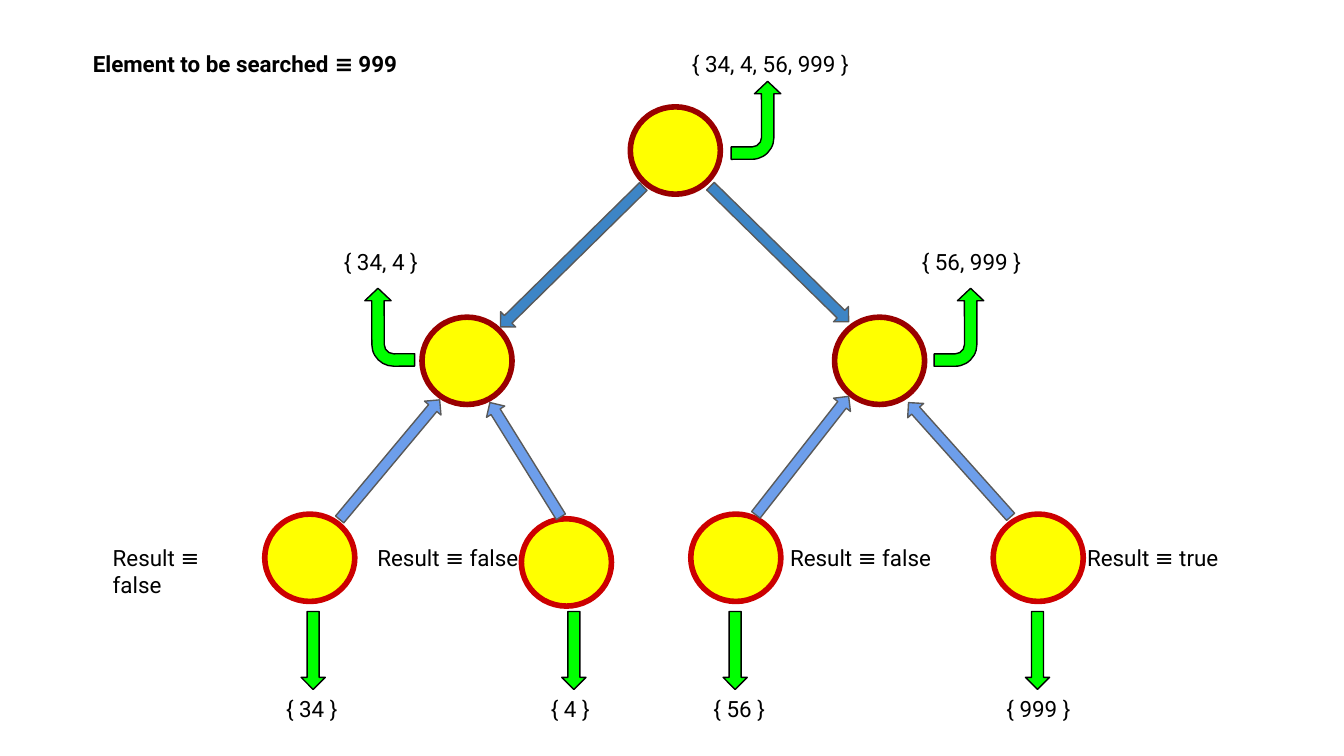
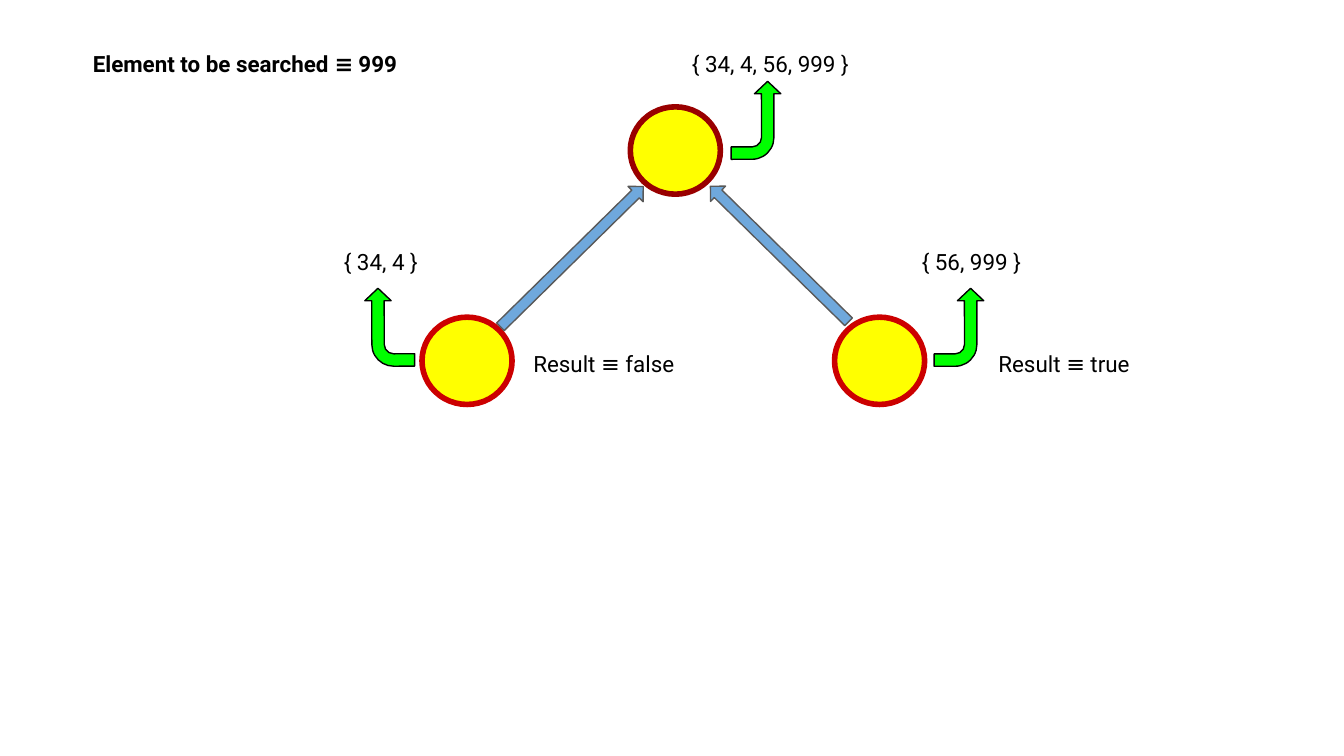
from dataclasses import dataclass
from math import atan2, degrees, hypot

from pptx import Presentation
from pptx.dml.color import RGBColor
from pptx.enum.shapes import MSO_SHAPE
from pptx.enum.text import MSO_ANCHOR, MSO_AUTO_SIZE, PP_ALIGN
from pptx.util import Inches, Pt

BLACK = RGBColor(0x00, 0x00, 0x00)
GREY = RGBColor(0x59, 0x59, 0x59)
YELLOW = RGBColor(0xFF, 0xFF, 0x00)
GREEN = RGBColor(0x00, 0xFF, 0x00)
DARK_RED = RGBColor(0x99, 0x00, 0x00)
RED = RGBColor(0xCC, 0x00, 0x00)
SPLIT_BLUE = RGBColor(0x3D, 0x85, 0xC6)
LEAF_BLUE = RGBColor(0x6D, 0x9E, 0xEB)
MERGE_BLUE = RGBColor(0x6F, 0xA8, 0xDC)

FONT = "Roboto"
COLUMNS, ROWS = 100, 56.25  # square grid cells, ten to the inch
CELL = Inches(0.1)

NODE_SIZE = (6.7, 6.5)
EDGE_THICKNESS = 1.6
BENT_SIZE = (5.8, 3.7)
DOWN_SIZE = (1.8, 5.8)
DOWN_TOP = 45.5
LEAF_SET_TOP = 50.75
LEAF_RESULT_TOP = 39.5
INNER_RESULT_TOP = 25.05
LABEL_HEIGHT = 4
TITLE_BOX = (5.9, 2.75, 24.9, LABEL_HEIGHT)
TITLE = "Element to be searched ≡ 999"


@dataclass
class Branch:
    """A node above the leaves; bend is the centre of its bent arrow."""
    node: tuple
    numbers: str
    label: tuple
    width: float
    bend: tuple
    faces_left: bool = False


@dataclass
class Leaf:
    node: tuple
    numbers: str
    numbers_left: float
    arrow_left: float
    result: str
    result_left: float
    result_width: float


ROOT = Branch((46.9, 7.95), "{ 34, 4, 56, 999 }", (50.5, 2.75), 13.8, (56.25, 8.95))
LEFT = Branch((31.4, 23.6), "{ 34, 4 }", (24.6, 17.5), 8.8, (29, 24.35), True)
RIGHT = Branch((62.1, 23.6), "{ 56, 999 }", (67.6, 17.5), 11.5, (71.35, 24.35))

LEAVES = [
    Leaf((19.7, 38.25), "{ 34 }", 20.3, 22.4, "false", 7.4, 12.4),
    Leaf((38.8, 38.6), "{ 4 }", 40, 41.8, "false", 27.1, 14.3),
    Leaf((51.4, 38.25), "{ 56 }", 52.1, 53.8, "false", 57.8, 13.8),
    Leaf((73.9, 38.25), "{ 999 }", 73.9, 76.3, "true", 79.9, 11.8),
]

ROOT_EDGES = [  # root end, child end
    ((47.86, 13.88), (37.24, 24.32)),
    ((52.86, 13.86), (63.14, 23.94)),
]
LEAF_EDGES = [  # leaf end, parent end
    ((25.28, 38.65), (32.72, 29.75)),
    ((41.74, 38.45), (36.46, 29.95)),
    ((56.25, 38.31), (63.15, 29.49)),
    ((75.2, 38.45), (67.6, 29.95)),
]


def cells(box):
    return [round(value * CELL) for value in box]


def add_figure(page, preset, box, fill, line, weight=0.75, adjustments=()):
    shape = page.shapes.add_shape(preset, *cells(box))
    shape.shadow.inherit = False
    shape.fill.solid()
    shape.fill.fore_color.rgb = fill
    shape.line.color.rgb = line
    shape.line.width = Pt(weight)
    for index, value in enumerate(adjustments):
        shape.adjustments[index] = value
    return shape


def centred_box(centre, size):
    return (centre[0] - size[0] / 2, centre[1] - size[1] / 2, *size)


def write(shape, text, bold=False):
    frame = shape.text_frame
    frame.text = text
    formats = {"word_wrap": True, "auto_size": MSO_AUTO_SIZE.SHAPE_TO_FIT_TEXT,
               "vertical_anchor": MSO_ANCHOR.TOP}
    formats |= {f"margin_{side}": CELL for side in ("left", "top", "right", "bottom")}
    for name, value in formats.items():
        setattr(frame, name, value)
    para = frame.paragraphs[0]
    para.alignment = PP_ALIGN.LEFT
    font = para.runs[0].font
    for name, value in {"name": FONT, "size": Pt(12), "bold": bold}.items():
        setattr(font, name, value)
    font.color.rgb = BLACK


def add_label(page, text, left, top, width):
    box = cells((left, top, width, LABEL_HEIGHT))
    write(page.shapes.add_textbox(*box), text)


def add_result(page, result, left, top, width):
    add_label(page, f"Result ≡ {result}", left, top, width)


def add_node(page, corner, rim):
    add_figure(page, MSO_SHAPE.OVAL, (*corner, *NODE_SIZE), YELLOW, rim, 3)


def add_edge(page, start, end, colour):
    """Lay a block arrow between two grid points."""
    across, down = end[0] - start[0], end[1] - start[1]
    centre = ((start[0] + end[0]) / 2, (start[1] + end[1]) / 2)
    box = centred_box(centre, (hypot(across, down), EDGE_THICKNESS))
    arrow = add_figure(page, MSO_SHAPE.RIGHT_ARROW, box, colour, GREY,
                       adjustments=(0.5, 0.5))
    arrow.rotation = degrees(atan2(down, across)) % 360


def add_branch(page, branch, rim):
    add_node(page, branch.node, rim)
    add_label(page, branch.numbers, *branch.label, branch.width)
    arrow = add_figure(page, MSO_SHAPE.BENT_ARROW,
                       centred_box(branch.bend, BENT_SIZE), GREEN, BLACK,
                       adjustments=(0.25, 0.265, 0.25, 0.438))
    if branch.faces_left:
        arrow.rotation = 269.9
    else:
        arrow.rotation = 89.9
        arrow.element.spPr.xfrm.set("flipH", "1")


def add_leaf(page, leaf):
    add_node(page, leaf.node, RED)
    add_figure(page, MSO_SHAPE.DOWN_ARROW, (leaf.arrow_left, DOWN_TOP, *DOWN_SIZE),
               GREEN, BLACK, adjustments=(0.5, 0.5))
    add_label(page, leaf.numbers, leaf.numbers_left, LEAF_SET_TOP, 10.5)
    add_result(page, leaf.result, leaf.result_left, LEAF_RESULT_TOP, leaf.result_width)


def add_tree_page(deck, child_rim):
    """Start a page with the title, the root and its two children."""
    page = deck.slides.add_slide(deck.slide_layouts[5])
    title = page.shapes.title
    title.left, title.top, title.width, title.height = cells(TITLE_BOX)
    write(title, TITLE, bold=True)
    for branch, rim in ((ROOT, DARK_RED), (LEFT, child_rim), (RIGHT, child_rim)):
        add_branch(page, branch, rim)
    return page


def add_search_page(deck):
    page = add_tree_page(deck, DARK_RED)
    for leaf in LEAVES:
        add_leaf(page, leaf)
    for root_end, child_end in ROOT_EDGES:
        add_edge(page, root_end, child_end, SPLIT_BLUE)
    for leaf_end, parent_end in LEAF_EDGES:
        add_edge(page, leaf_end, parent_end, LEAF_BLUE)


def add_merge_page(deck):
    page = add_tree_page(deck, RED)
    for root_end, child_end in ROOT_EDGES:
        add_edge(page, child_end, root_end, MERGE_BLUE)
    add_result(page, "false", 38.7, INNER_RESULT_TOP, 14.3)
    add_result(page, "true", 73.3, INNER_RESULT_TOP, 11.8)


def main():
    deck = Presentation()
    deck.slide_width, deck.slide_height = cells((COLUMNS, ROWS))
    add_search_page(deck)
    add_merge_page(deck)
    deck.save("out.pptx")


if __name__ == "__main__":
    main()
